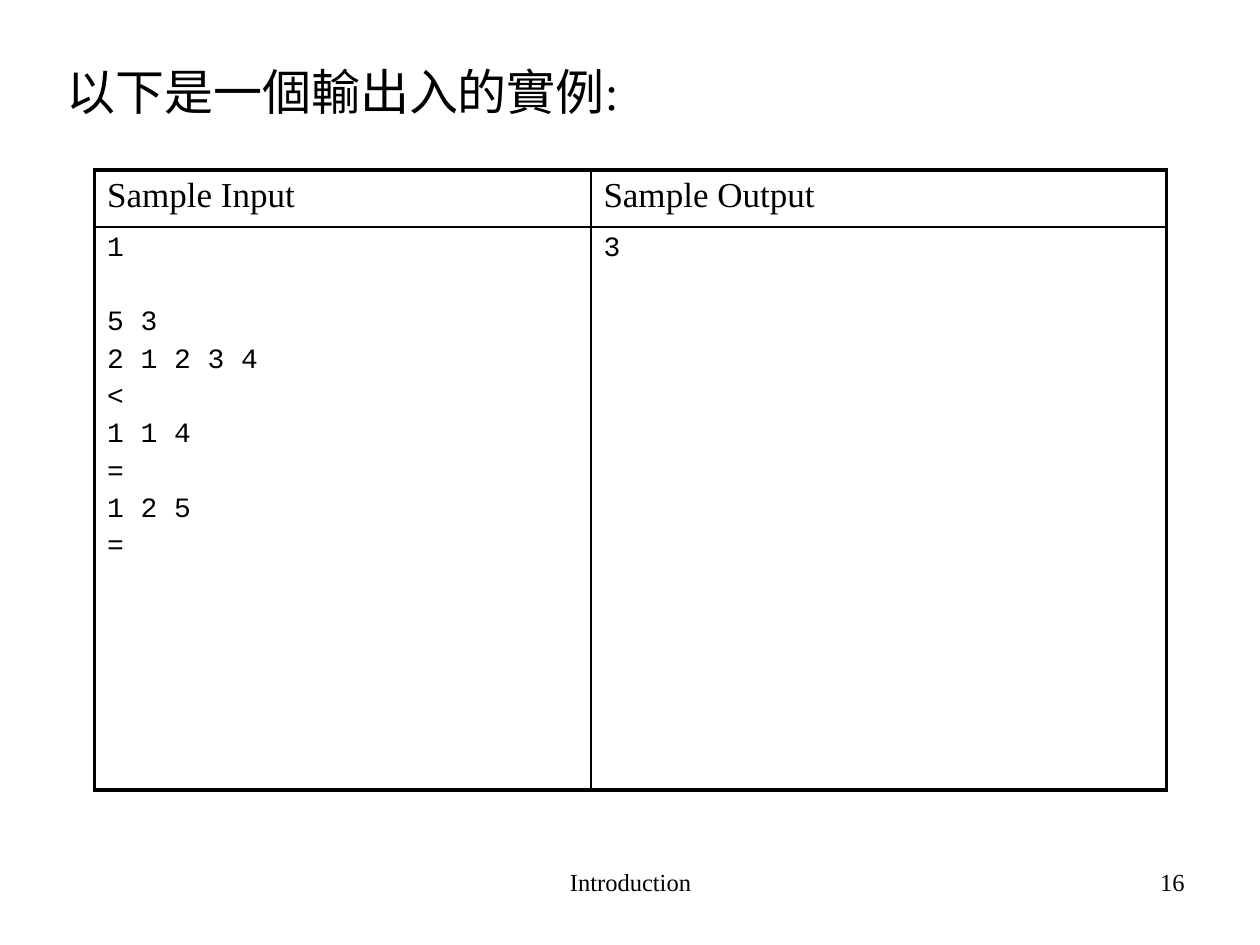
from lxml.etree import SubElement
from pptx import Presentation
from pptx.dml.color import RGBColor
from pptx.enum.text import PP_ALIGN
from pptx.oxml.ns import qn
from pptx.util import Inches, Pt

BLACK = RGBColor(0, 0, 0)
WHITE = RGBColor(255, 255, 255)
SERIF = "Times New Roman"
MONO = "Courier New"
THICK, THIN = 2.25, 1
MONO_LINE = 18.1

SAMPLE_INPUT = ["1", "5 3", "2 1 2 3 4", "<", "1 1 4", "=", "1 2 5", "="]
GROUP_START = "5 3"


def write(paragraph, text, size, font=SERIF, align=PP_ALIGN.LEFT, before=0):
    """Put formatted text in a paragraph."""
    paragraph.alignment = align
    paragraph.space_before = Pt(before)
    run = paragraph.add_run()
    run.text = text
    run.font.size = Pt(size)
    run.font.name = font
    run.font.color.rgb = BLACK


def add_label(slide, box, text, size, **text_format):
    """Add a wrapped text box holding one paragraph."""
    shape = slide.shapes.add_textbox(*map(Inches, box))
    shape.text_frame.word_wrap = True
    write(shape.text_frame.paragraphs[0], text, size, **text_format)


def add_borders(cell, widths):
    """Draw the left, right, top and bottom borders of a cell."""
    properties = cell._tc.get_or_add_tcPr()
    for index, (side, width) in enumerate(zip("LRTB", widths)):
        line = SubElement(properties, qn(f"a:ln{side}"), w=str(Pt(width)))
        fill = SubElement(line, qn("a:solidFill"))
        SubElement(fill, qn("a:srgbClr"), val=str(BLACK))
        properties.insert(index, line)


def add_sample_table(slide, box, column_widths, row_heights):
    """Add the sample input and output table."""
    table = slide.shapes.add_table(2, 2, *map(Inches, box)).table
    table.first_row = table.horz_banding = False
    for column, width in zip(table.columns, column_widths):
        column.width = Inches(width)
    for row, height in zip(table.rows, row_heights):
        row.height = Inches(height)

    for row in range(2):
        for column in range(2):
            cell = table.cell(row, column)
            cell.fill.solid()
            cell.fill.fore_color.rgb = WHITE
            outer_sides = (column == 0, column == 1, row == 0, row == 1)
            add_borders(cell, [THICK if outer else THIN for outer in outer_sides])

    for column, heading in enumerate(["Sample Input", "Sample Output"]):
        paragraph = table.cell(0, column).text_frame.paragraphs[0]
        write(paragraph, heading, 20, before=4)
    for column, lines in enumerate([SAMPLE_INPUT, ["3"]]):
        frame = table.cell(1, column).text_frame
        for index, text in enumerate(lines):
            paragraph = frame.add_paragraph() if index else frame.paragraphs[0]
            before = 6.4 + MONO_LINE if text == GROUP_START else 3.2
            write(paragraph, text, 16, font=MONO, before=before)


def add_footer(slide, top, height):
    """Add the footer title and the slide number."""
    add_label(slide, (3.42, top, 3.17, height), "Introduction", 14, align=PP_ALIGN.CENTER)
    add_label(slide, (7.17, top, 2.33, height), "16", 14, align=PP_ALIGN.RIGHT)


def main():
    """Build the slide and save it."""
    presentation = Presentation()
    presentation.slide_width = Inches(10)
    presentation.slide_height = Inches(7.5)
    slide = presentation.slides.add_slide(presentation.slide_layouts[6])
    add_footer(slide, 6.83, 0.52)
    add_label(slide, (0.43, 0.44, 9, 4.95), "以下是一個輸出入的實例:", 28, before=5.6)
    add_sample_table(slide, (0.75, 1.35, 8.51, 4.92), (3.94, 4.57), (0.45, 4.47))
    presentation.save("out.pptx")


if __name__ == "__main__":
    main()
